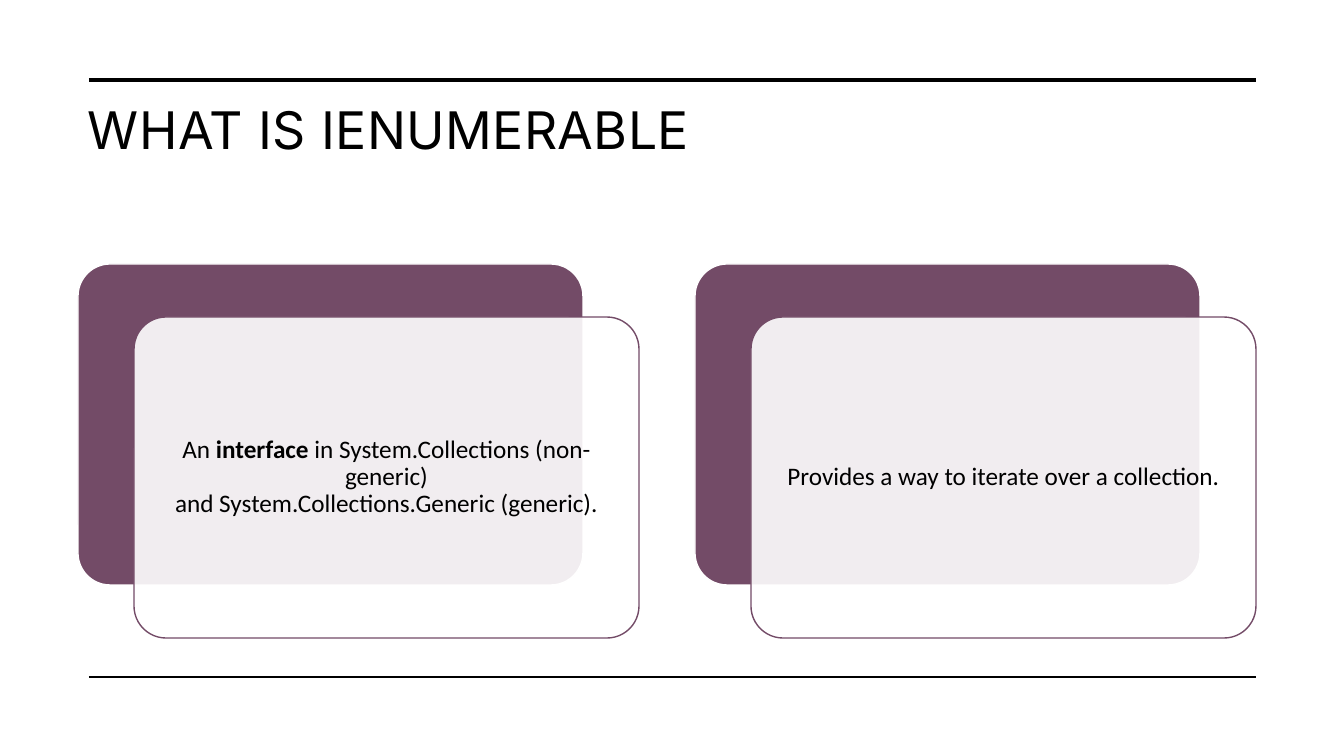
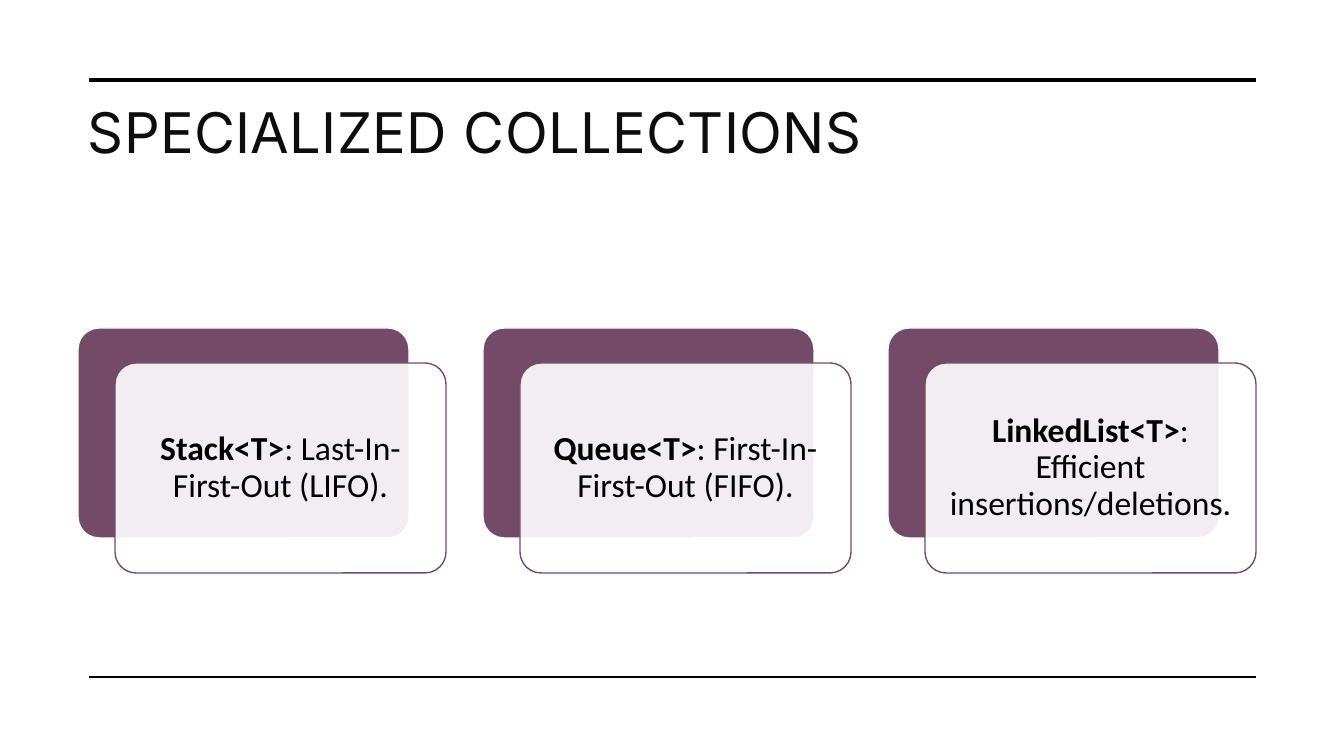
from pptx import Presentation
from pptx.dml.color import RGBColor
from pptx.enum.shapes import MSO_CONNECTOR as Link, MSO_SHAPE as Shape
from pptx.enum.text import MSO_ANCHOR as Anchor, PP_ALIGN as Align
from pptx.oxml.ns import qn
from pptx.util import Emu, Pt
from lxml.etree import SubElement as sub

WIDE, HIGH = 1344, 756
SCALE = 12192000 / WIDE
BLACK, WHITE, PLUM = "000000", "FFFFFF", "734B67"
HEAD, BODY = "Inter", "Calibri"
LEFT, RIGHT, MID = 78, 1256, 451  # card row: edges and centre height


def px(num):
    return Emu(round(round(num) * SCALE))


def hue(code):
    return RGBColor.from_string(code)


def write(frame, parts, size, font=BODY, color=BLACK, align=Align.LEFT,
          anchor=Anchor.TOP, pad=(10, 5), lead=0.9, track=0):
    """Fill a frame with (text, bold) parts; a newline is a line break."""
    frame.word_wrap = True
    frame.vertical_anchor = anchor
    frame.margin_left = frame.margin_right = px(pad[0])
    frame.margin_top = frame.margin_bottom = px(pad[1])
    para = frame.paragraphs[0]
    para.alignment, para.line_spacing = align, lead
    for text, bold in parts:
        for row, line in enumerate(text.split("\n")):
            if row:
                para.add_line_break()
            run = para.add_run()
            run.text = line
            face = run.font
            face.name, face.size, face.bold = font, Pt(size), bold
            face.color.rgb = hue(color)
            if track:
                run._r.get_or_add_rPr().set("spc", str(track))


def rule(slide, top, weight):
    line = slide.shapes.add_connector(
        Link.STRAIGHT, px(89), px(top), px(RIGHT), px(top))
    line.line.color.rgb = hue(BLACK)
    line.line.width = Pt(weight)
    sub(line._element.spPr, qn("a:effectLst"))


def panel(slide, left, top, width, height, fill, edge, alpha=None):
    box = slide.shapes.add_shape(
        Shape.ROUNDED_RECTANGLE, px(left), px(top), px(width), px(height))
    box.adjustments[0] = 0.1
    box.shadow.inherit = False
    box.fill.solid()
    box.fill.fore_color.rgb = hue(fill)
    if alpha:
        tint = box._element.spPr.find(qn("a:solidFill"))[0]
        sub(tint, qn("a:alpha")).set("val", str(alpha * 1000))
    box.line.color.rgb = hue(edge)
    box.line.width = Pt(1)
    return box


def cards(slide, items, size, pad):
    """Spread cards evenly; shift and gap are each a ninth of the width."""
    width = 9 * (RIGHT - LEFT) / (11 * len(items) - 1)
    height, shift, drop = 0.635 * width, width / 9, 0.105 * width
    top = MID - (height + drop) / 2
    for col, parts in enumerate(items):
        left = LEFT + col * 11 * shift
        panel(slide, left, top, width, height, PLUM, WHITE)
        front = panel(slide, left + shift, top + drop, width, height,
                      WHITE, PLUM, alpha=90)
        write(front.text_frame, parts, size, align=Align.CENTER,
              anchor=Anchor.MIDDLE, pad=(pad, pad))


def page(deck, title, size, color, lead):
    """Blank slide with the shared rules and title."""
    slide = deck.slides.add_slide(deck.slide_layouts[6])
    rule(slide, 80, 3.5)
    rule(slide, 677, 1)
    box = slide.shapes.add_textbox(px(LEFT), px(100), px(RIGHT - LEFT), px(127))
    write(box.text_frame, [(title, False)], size, font=HEAD, color=color,
          lead=lead, track=30)
    return slide


def main():
    deck = Presentation()
    deck.slide_width, deck.slide_height = px(WIDE), px(HIGH)

    # What the interface is
    slide = page(deck, "WHAT IS IENUMERABLE", 37, BLACK, 0.9)
    cards(slide, [
        [("An ", False), ("interface", True),
         (" in System.Collections (non-generic)\n"
          "and System.Collections.Generic (generic).", False)],
        [("Provides a way to iterate over a collection.", False)],
    ], 18, 7)

    # Special collection types
    slide = page(deck, "SPECIALIZED COLLECTIONS", 40, "0D0D0D", 0.9)
    cards(slide, [
        [("Stack<T>", True), (": Last-In-First-Out (LIFO).", False)],
        [("Queue<T>", True), (": First-In-First-Out (FIFO).", False)],
        [("LinkedList<T>", True),
         (": Efficient insertions/deletions.", False)],
    ], 24, 10)

    deck.save("out.pptx")


if __name__ == "__main__":
    main()
